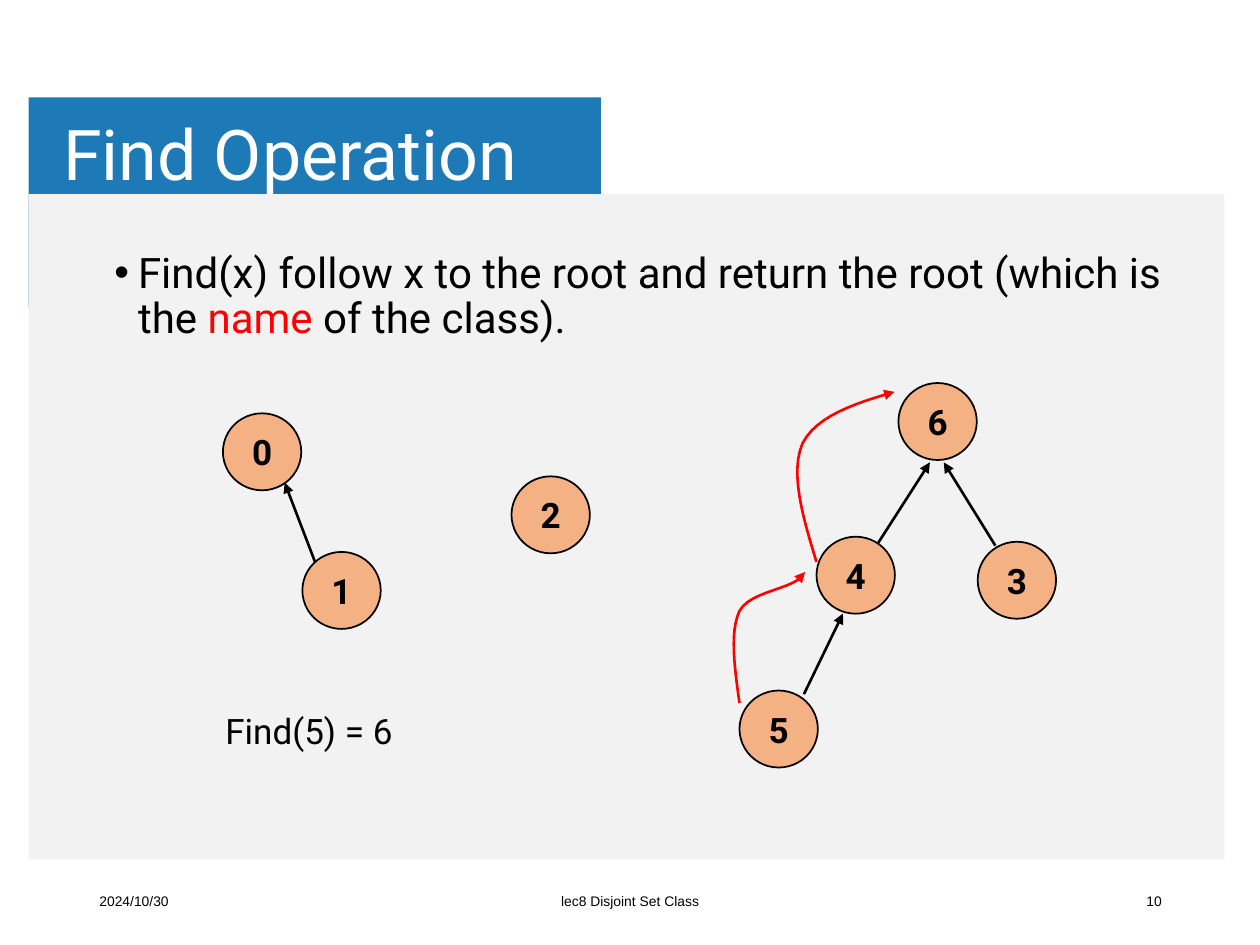
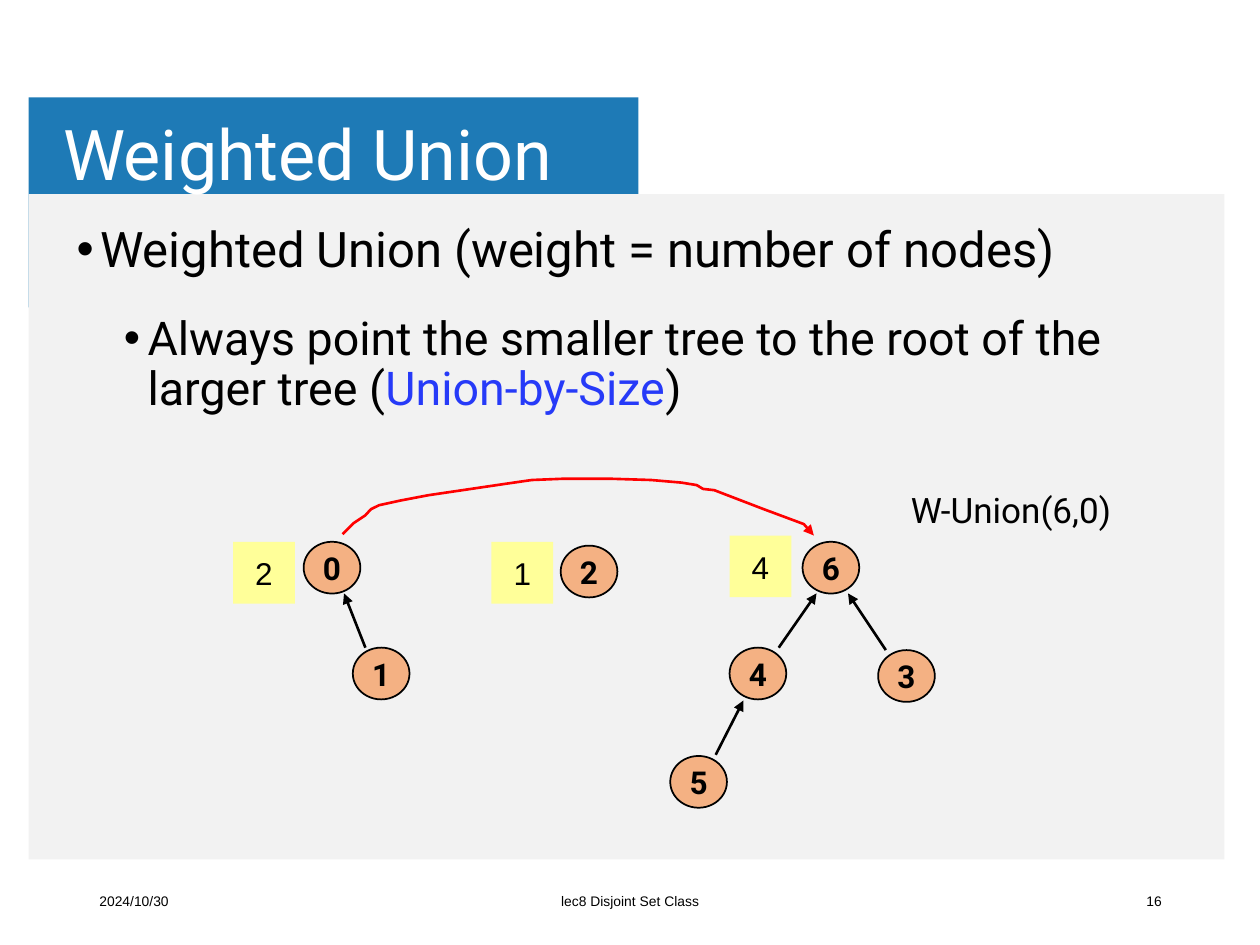
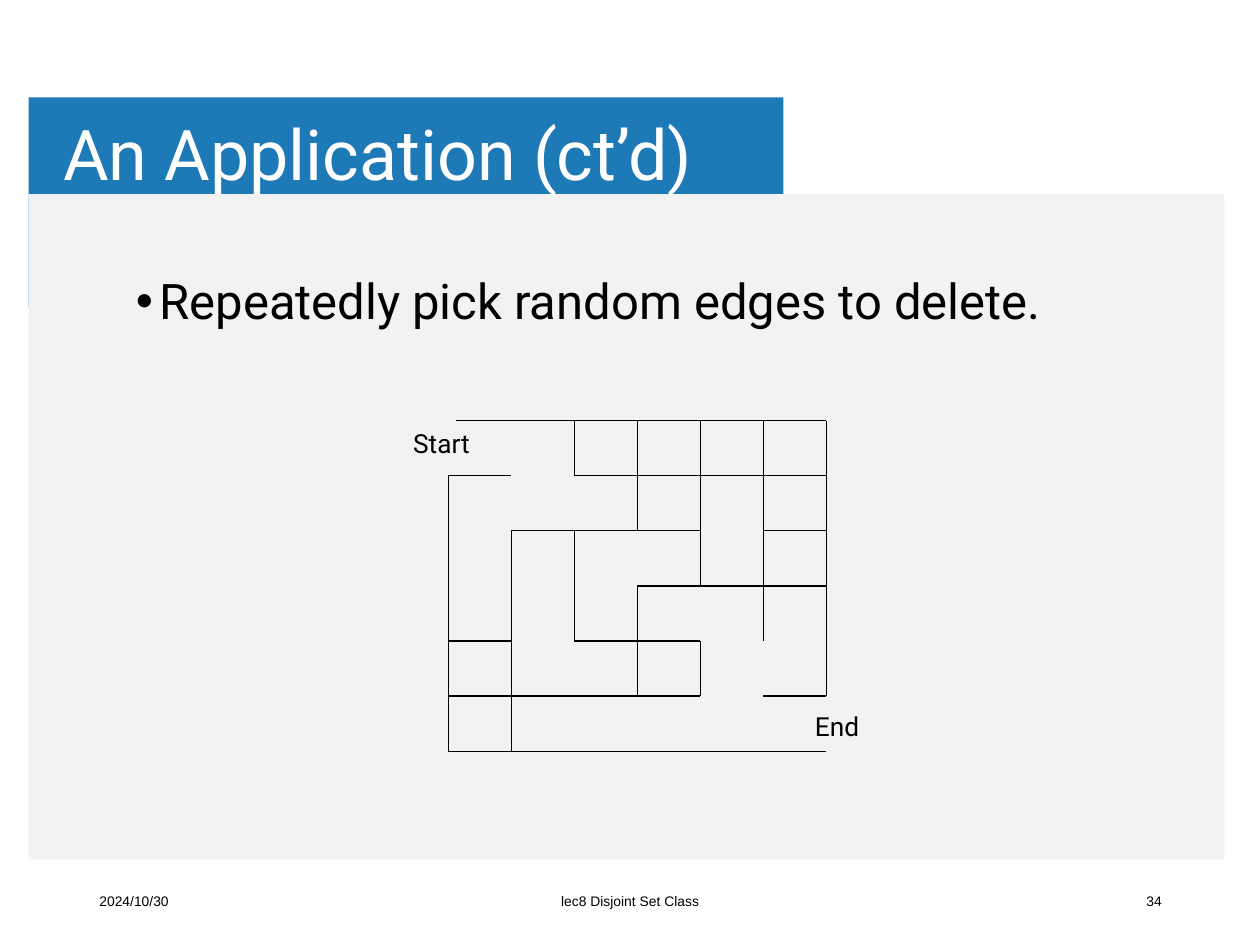
from dataclasses import dataclass
from typing import Any, NamedTuple

from lxml.etree import SubElement
from pptx import Presentation
from pptx.dml.color import RGBColor
from pptx.enum.shapes import MSO_CONNECTOR as Link, MSO_SHAPE as Preset
from pptx.enum.text import MSO_ANCHOR as Anchor, MSO_AUTO_SIZE as AutoSize, PP_ALIGN as Align
from pptx.oxml.ns import qn
from pptx.util import Pt

BLUE, PANEL, PEACH, YELLOW = "1E7AB6", "F2F2F2", "F4B183", "FFFF99"
BLACK, WHITE, RED, INDIGO = "000000", "FFFFFF", "FF0000", "263AF8"
SANS, PLAIN = "Roboto", "Arial"
DATE, COURSE = "2024/10/30", "lec8 Disjoint Set Class"
Point = tuple[float, float]


class Frame(NamedTuple):
    left: float
    top: float
    width: float
    height: float


class Style(NamedTuple):
    size: float
    font: str = SANS
    color: str = BLACK
    bold: bool = False


class Arrow(NamedTuple):
    start: Point
    end: Point


class Node(NamedTuple):
    label: str
    left: float
    top: float


@dataclass
class Bullet:
    phrases: list[tuple[str, str]]
    size: float
    indent: float = 13.5
    before: float = 0


def rgb(color: str) -> RGBColor:
    return RGBColor.from_string(color)


def apply(target: Any, values: dict[str, Any]) -> None:
    for name, value in values.items():
        setattr(target, name, value)


def add_span(para: Any, text: str, style: Style) -> None:
    span = para.add_run()
    span.text = text
    apply(span.font, {"size": Pt(style.size), "name": style.font, "bold": style.bold})
    span.font.color.rgb = rgb(style.color)


def write(box: Any, text: str, style: Style, align: Any = Align.LEFT,
          anchor: Any = Anchor.MIDDLE, wrap: bool = False) -> None:
    apply(box.text_frame, {"word_wrap": wrap, "vertical_anchor": anchor})
    para = box.text_frame.paragraphs[0]
    para.alignment = align
    add_span(para, text, style)


def add_text(page: Any, frame: Frame, text: str, style: Style, **layout: Any) -> None:
    write(page.shapes.add_textbox(*map(Pt, frame)), text, style, **layout)


def add_block(page: Any, preset: Any, frame: Frame, fill: str, outline: str = "") -> Any:
    block = page.shapes.add_shape(preset, *map(Pt, frame))
    block.shadow.inherit = False
    block.fill.solid()
    block.fill.fore_color.rgb = rgb(fill)
    if outline:
        draw_line(block, outline, 1)
    else:
        block.line.fill.background()
    return block


def draw_line(shape: Any, color: str, width: float, arrow: bool = False) -> None:
    shape.line.width = Pt(width)
    shape.line.color.rgb = rgb(color)
    if arrow:
        SubElement(shape.element.spPr.find(qn("a:ln")), qn("a:tailEnd"), type="triangle")


def add_line(page: Any, start: Point, end: Point, width: float, arrow: bool = False) -> None:
    line = page.shapes.add_connector(Link.STRAIGHT, *map(Pt, (*start, *end)))
    draw_line(line, BLACK, width, arrow)
    SubElement(line.element.spPr, qn("a:effectLst"))


def add_trail(page: Any, points: list[Point]) -> None:
    corners = [(Pt(x), Pt(y)) for x, y in points]
    builder = page.shapes.build_freeform(*corners[0])
    builder.add_line_segments(corners[1:], close=False)
    trail = builder.convert_to_shape()
    trail.shadow.inherit = False
    trail.fill.background()
    draw_line(trail, RED, 1.5, arrow=True)


def bezier(controls: list[Point], steps: int = 12) -> list[Point]:
    points = [controls[0]]
    for first in range(0, len(controls) - 1, 3):
        corners = controls[first:first + 4]
        for step in range(1, steps + 1):
            t = step / steps
            weights = ((1 - t) ** 3, 3 * t * (1 - t) ** 2, 3 * t * t * (1 - t), t ** 3)
            x, y = (sum(w * c[axis] for w, c in zip(weights, corners)) for axis in (0, 1))
            points.append((x, y))
    return points


def add_bullets(page: Any, frame: Frame, bullets: list[Bullet]) -> None:
    box = page.shapes.add_textbox(*map(Pt, frame))
    box.text_frame.word_wrap = True
    for index, bullet in enumerate(bullets):
        para = box.text_frame.add_paragraph() if index else box.text_frame.paragraphs[0]
        apply(para, {"line_spacing": 0.9, "space_before": Pt(bullet.before)})
        properties = para._p.get_or_add_pPr()
        properties.set("marL", str(Pt(bullet.indent)))
        properties.set("indent", str(-Pt(13.5)))
        SubElement(properties, qn("a:buFont"), typeface=PLAIN)
        SubElement(properties, qn("a:buChar"), char="•")
        for text, color in bullet.phrases:
            add_span(para, text, Style(bullet.size, color=color))


def add_nodes(page: Any, nodes: list[Node], width: float, height: float, size: float) -> None:
    for node in nodes:
        frame = Frame(node.left, node.top, width, height)
        circle = add_block(page, Preset.OVAL, frame, PEACH, BLACK)
        write(circle, node.label, Style(size, bold=True), Align.CENTER)


def add_arrows(page: Any, arrows: list[Arrow]) -> None:
    for arrow in arrows:
        add_line(page, arrow.start, arrow.end, 1.5, arrow=True)


def add_page(deck: Any, heading: str, band_width: float, number: int) -> Any:
    page = deck.slides.add_slide(deck.slide_layouts[5])
    title = page.shapes.title
    apply(title, {"left": Pt(31), "top": Pt(54.7), "width": Pt(578), "height": Pt(70.6)})
    write(title, heading, Style(40, color=WHITE), wrap=True)
    apply(title.text_frame, {"auto_size": AutoSize.NONE,
                             "margin_left": Pt(5), "margin_right": Pt(5),
                             "margin_top": Pt(2.9), "margin_bottom": Pt(2.9)})
    title.text_frame.paragraphs[0].line_spacing = 0.9
    for frame, fill in ((Frame(16.4, 55.7, band_width, 120), BLUE),
                        (Frame(16.4, 110.9, 683.3, 380.2), PANEL)):
        title.element.addprevious(add_block(page, Preset.RECTANGLE, frame, fill).element)
    for left, width, text, align in ((49.7, 162, DATE, Align.LEFT),
                                     (238.3, 243.4, COURSE, Align.CENTER),
                                     (509, 162, str(number), Align.RIGHT)):
        add_text(page, Frame(left, 500.4, width, 28.8), text, Style(7.9, PLAIN),
                 align=align, wrap=True)
    return page


def build_find(deck: Any) -> None:
    page = add_page(deck, "Find Operation", 327, 10)
    add_bullets(page, Frame(58.3, 140.4, 625.7, 64.8), [
        Bullet([("Find(x) follow x to the root and return the root (which is the ", BLACK),
                ("name", RED), (" of the class).", BLACK)], 24)])
    add_text(page, Frame(121.7, 401.8, 121, 31.7), "Find(5) = 6", Style(20), anchor=Anchor.TOP)
    add_trail(page, bezier([(422.6, 401.8), (419.8, 381.6), (416.9, 361.4), (422.6, 349.2),
                            (429.1, 337), (455.8, 337), (460.1, 326.9)]))
    add_trail(page, bezier([(466.6, 321.1), (458.6, 295.2), (451.4, 270), (458.6, 253.4),
                            (466.6, 237.6), (488.9, 230.4), (511.2, 223.9)]))
    add_nodes(page, [Node("0", 127.4, 236.2), Node("1", 172.8, 315.4), Node("2", 292.3, 272.2),
                     Node("3", 558.7, 309.6), Node("4", 466.6, 306.7), Node("5", 422.6, 394.6),
                     Node("6", 513.4, 218.9)], 44.8, 44, 20)
    add_arrows(page, [Arrow((180, 321.1), (162.7, 275.8)), Arrow((501.8, 310.3), (531.4, 264.2)),
                      Arrow((568.8, 311.8), (539.3, 264.2)),
                      Arrow((459.4, 396.7), (481.7, 350.6))])


def build_union(deck: Any) -> None:
    page = add_page(deck, "Weighted Union", 348.5, 16)
    add_bullets(page, Frame(36.7, 125.3, 634.3, 107.3), [
        Bullet([("Weighted Union (weight = number of nodes)", BLACK)], 28),
        Bullet([("Always point the smaller tree to the root of the larger tree (", BLACK),
                ("Union-by-Size", INDIGO), (")", BLACK)], 26.6, indent=40.5, before=21)])
    add_trail(page, [(195.8, 305.3), (202.3, 298.8), (208.8, 294.5), (212, 291), (216.7, 288.7),
                     (229, 286), (244.8, 283), (288.7, 276.5), (304, 274.3), (321.1, 273.6),
                     (350, 273.6), (372, 274.3), (389.5, 275.8), (398.2, 277.2), (401.8, 279.4),
                     (408.2, 280.1), (436.3, 290.9), (459.4, 299.5), (465.1, 306)])
    add_text(page, Frame(513.4, 275.8, 146.2, 31.7), "W-Union(6,0)", Style(20),
             anchor=Anchor.TOP)
    for weight, left, top in (("2", 133.2, 309.6), ("4", 416.9, 306), ("1", 280.8, 309.6)):
        tag = add_block(page, Preset.RECTANGLE, Frame(left, top, 35.3, 35.3), YELLOW)
        write(tag, weight, Style(18, PLAIN), Align.CENTER)
    add_nodes(page, [Node("0", 173.5, 309.6), Node("1", 201.6, 370.1), Node("2", 320.4, 311.8),
                     Node("3", 501.8, 371.5), Node("4", 416.9, 370.1), Node("5", 383, 432),
                     Node("6", 458.6, 309.6)], 32.4, 29.6, 18)
    add_arrows(page, [Arrow((208.8, 370.1), (196.6, 339.1)), Arrow((445, 370.1), (466.6, 339.1)),
                      Arrow((506.2, 371.5), (484.6, 339.1)), Arrow((409, 431.3), (424.8, 400.3))])


def build_maze(deck: Any) -> None:
    page = add_page(deck, "An Application (ct’d)", 431.3, 34)
    add_bullets(page, Frame(70.6, 154.8, 635.8, 58.3), [
        Bullet([("Repeatedly pick random edges to delete.", BLACK)], 28)])

    def corner(column: float, row: float) -> Point:
        return 256.3 + 36 * column, 240.3 + 31.5 * row

    across = (".#####", "#.####", ".###.#", "...###", "#.##..", "####.#", ".....#")
    down = ("..#####", "...####", ".##.###", ".###.##", ".#.##.#", ".#.....")
    for walls, column_step, row_step in ((across, 1, 0), (down, 0, 1)):
        for row, marks in enumerate(walls):
            for column, mark in enumerate(marks):
                if mark == "#":
                    add_line(page, corner(column, row),
                             corner(column + column_step, row + row_step), 0.75)
    for start, end in (((5, 6), (0, 6)), ((0, 6), (0, 1)), ((0.12, 0), (1.12, 0))):
        add_line(page, corner(*start), corner(*end), 0.75)
    for text, frame in (("Start", Frame(229, 240.5, 49, 25.2)),
                        ("End", Frame(458.6, 402.5, 41.8, 25.2))):
        add_text(page, frame, text, Style(15), anchor=Anchor.TOP)


def main() -> None:
    deck = Presentation()
    apply(deck, {"slide_width": Pt(720), "slide_height": Pt(540)})
    for build in (build_find, build_union, build_maze):
        build(deck)
    deck.save("out.pptx")


if __name__ == "__main__":
    main()
